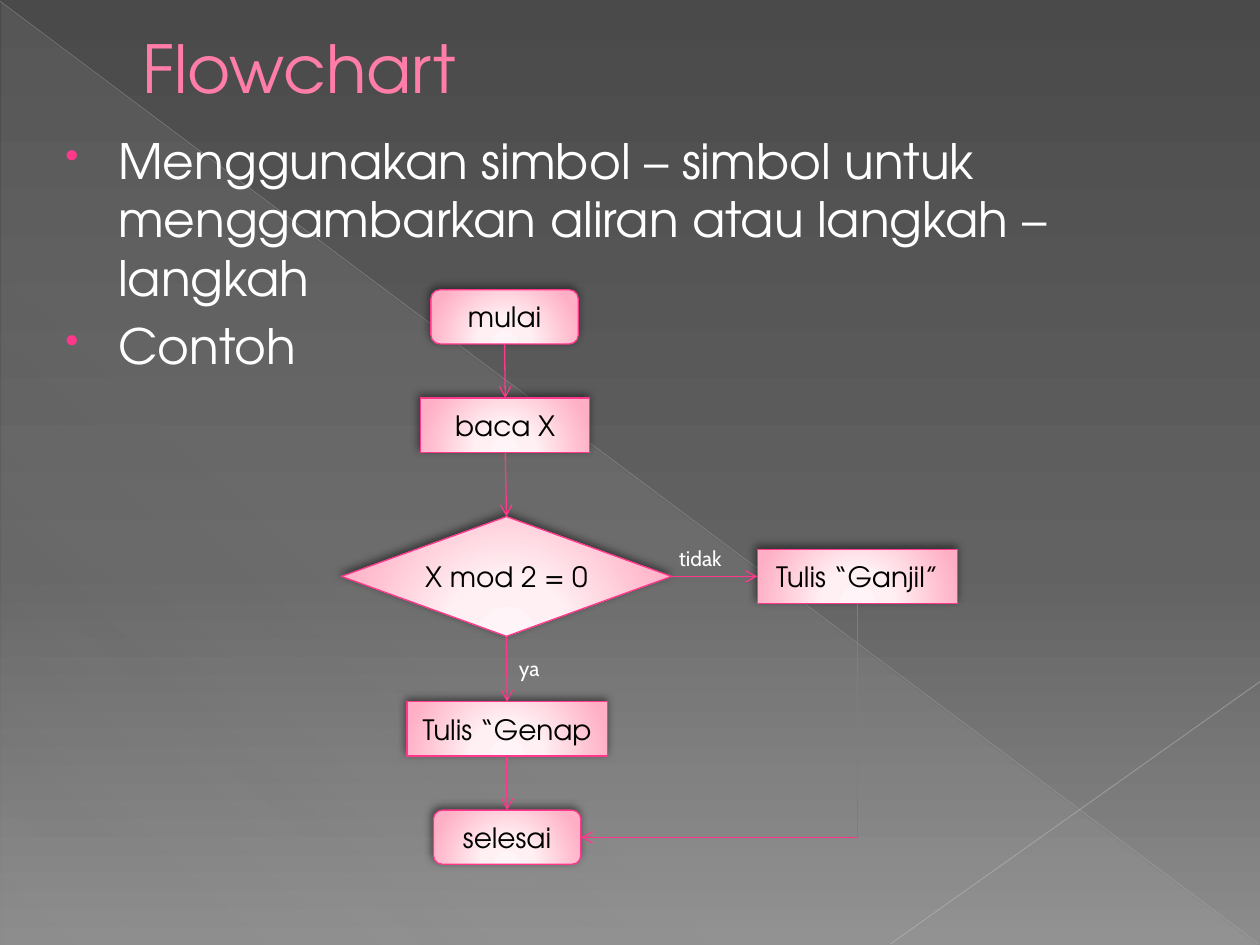
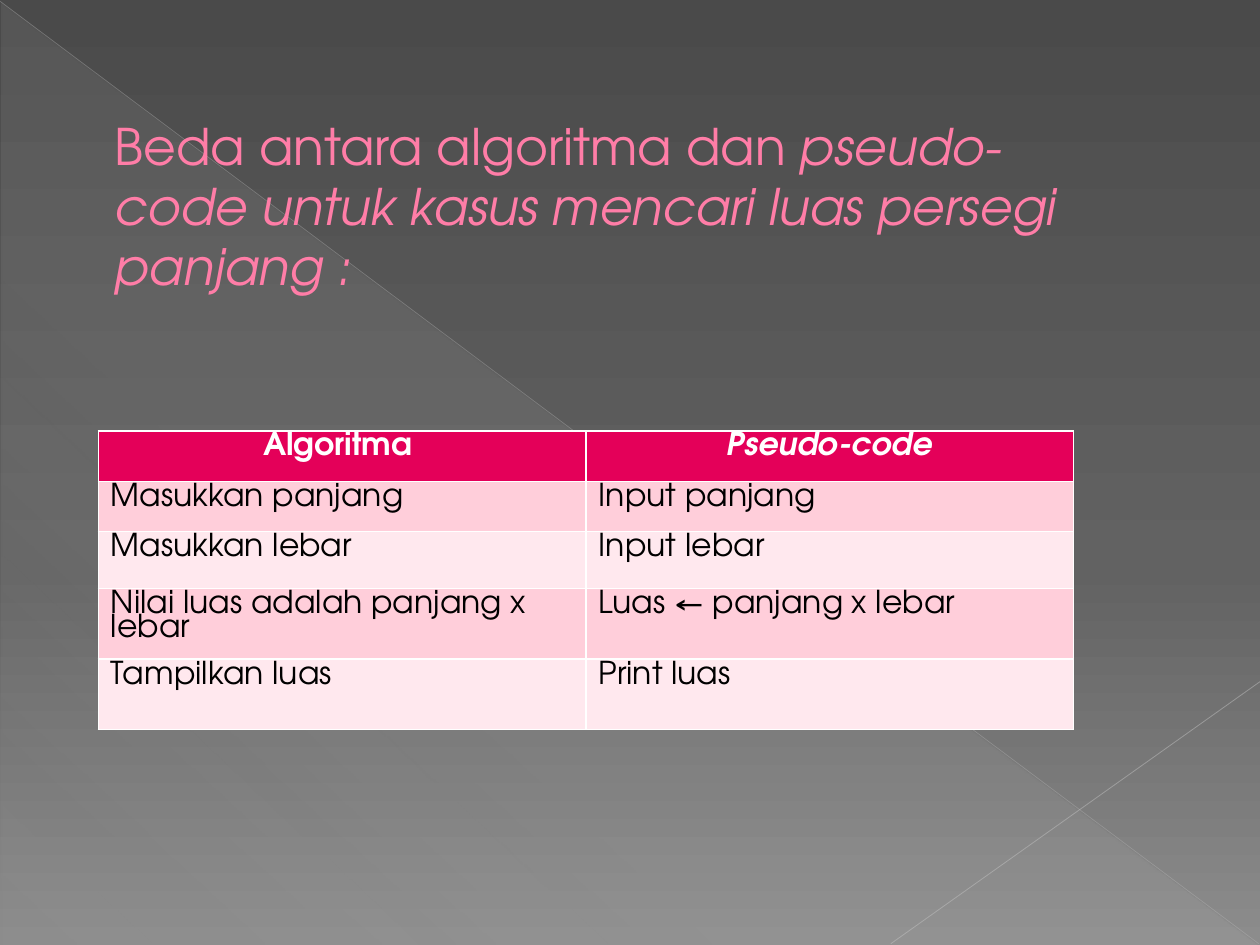
from pptx import Presentation
from pptx import util as u
from pptx.dml.color import RGBColor
from pptx.enum import shapes, text
from pptx.oxml import parse_xml
from pptx.oxml.ns import nsdecls, qn

FONT, NOTE = "TeX Gyre Adventor", "Cabin"
ROSE, PINK, WHITE, BLACK = "FF7DA7", "FF388C", "FFFFFF", "000000"
HEAD, BANDS = "E40059", ("FFCEDA", "FFE8EE")
SKY = [(0, "4A4A4A", 100), (60, "626262", 100), (100, "8C8C8C", 100)]
VEIL = [(0, "D2D2D2", 10), (70, "D2D2D2", 8), (100, "D2D2D2", 1)]
GLOW = [(0, "FFF4F7", 100), (34, "FFF0F3", 100), (100, "FFAFC5", 100)]
KINDS, ALIGN = shapes.MSO_SHAPE, text.PP_ALIGN
TOP, LEFT, BASE, RIGHT = range(4)  # connection sites of a shape


def rgb(code):
    return RGBColor.from_string(code)


def node(tag, inner="", **attrs):
    """Build one DrawingML element."""
    pairs = " ".join(f'{key}="{val}"' for key, val in attrs.items())
    return parse_xml(f'<a:{tag} {nsdecls("a")} {pairs}>{inner}</a:{tag}>')


def paint(code, alpha=100):
    return f'<a:srgbClr val="{code}"><a:alpha val="{alpha * 1000}"/></a:srgbClr>'


def blend(fill, host, stops, angle=None):
    """Fill with a linear gradient, or a round one when no angle is given."""
    fill.gradient()
    old = host.find(".//" + qn("a:gradFill"))
    steps = "".join(f'<a:gs pos="{pos * 1000}">{paint(code, alpha)}</a:gs>'
                    for pos, code, alpha in stops)
    if angle is None:
        way = ('<a:path path="circle"><a:fillToRect l="50000" t="155000" '
               'r="50000" b="-55000"/></a:path>')
    else:
        way = f'<a:lin ang="{angle * 60000}" scaled="0"/>'
    new = node("gradFill", f"<a:gsLst>{steps}</a:gsLst>{way}", rotWithShape=1)
    old.getparent().replace(old, new)


def write(frame, *paras, size=18, color=WHITE, font=FONT, bold=False,
          align=ALIGN.LEFT, indent=0, hang=0, bullet=None, gap=0, lead=None):
    """Fill a frame; a paragraph is a string or a list of (text, italic)."""
    for i, para in enumerate(paras):
        p = frame.paragraphs[0] if i == 0 else frame.add_paragraph()
        props = p._p.get_or_add_pPr()
        props.set("marL", str(u.Inches(indent)))
        props.set("indent", str(u.Inches(-hang)))
        if bullet:
            props.append(node("buClr", paint(PINK)))
            props.append(node("buSzPct", val=80000))
            props.append(node("buChar", char=bullet))
        p.alignment = align
        if lead:
            p.line_spacing = lead
        if i:
            p.space_before = u.Pt(gap)
        for words, slant in [(para, False)] if isinstance(para, str) else para:
            run = p.add_run()
            run.text = words
            run.font.name, run.font.size = font, u.Pt(size)
            run.font.bold, run.font.italic = bold, slant
            run.font.color.rgb = rgb(color)


class Deck:
    def __init__(self):
        self.prs = Presentation()
        self.prs.slide_width, self.prs.slide_height = u.Inches(10), u.Inches(7.5)
        self.slide = None

    def start(self, box, *paras, **style):
        """Add a slide with its title."""
        first = self.slide is None
        self.slide = self.prs.slides.add_slide(self.prs.slide_layouts[5])
        if first:
            self.theme()
        title = self.slide.shapes.title
        title.left, title.top, title.width, title.height = map(u.Inches, box)
        frame = title.text_frame
        frame.word_wrap, frame.auto_size = True, text.MSO_AUTO_SIZE.NONE
        frame.vertical_anchor = text.MSO_ANCHOR.MIDDLE
        write(frame, *paras, color=ROSE, indent=0.53, **style)

    def theme(self):
        """Put the background, veil and thin lines on the master."""
        master = self.prs.slide_master
        blend(master.background.fill, master.element, SKY, 90)
        veil = self.shape(KINDS.RIGHT_TRIANGLE, (0.01, 0.02, 9.98, 7.48))
        blend(veil.fill, veil.element, VEIL, 133)
        veil.line.fill.background()
        parts = [veil, self.line((0, 0.01, 9.99, 7.49), "BFBFBF", 0.39, 35),
                 self.line((10, 5.41, 7.07, 7.49), "C6C6C6", 0.47, 45)]
        tree = master.element.cSld.spTree
        for spot, part in enumerate(parts, 2):
            tree.insert(spot, part.element)
        for num, item in enumerate(tree.xpath(".//p:cNvPr"), 1):
            item.set("id", str(num))

    def shape(self, kind, box):
        item = self.slide.shapes.add_shape(kind, *map(u.Inches, box))
        item.shadow.inherit = False
        return item

    def line(self, ends, color=PINK, width=0.75, alpha=100, arrow=False,
             kind=shapes.MSO_CONNECTOR.STRAIGHT):
        item = self.slide.shapes.add_connector(kind, *map(u.Inches, ends))
        item.line.width = u.Pt(width)
        item.line.color.rgb = rgb(color)
        stroke = item.element.spPr.find(qn("a:ln"))
        stroke.find(".//" + qn("a:srgbClr")).append(
            node("alpha", val=alpha * 1000))
        if arrow:
            stroke.append(node("tailEnd", type="arrow"))
        item.element.spPr.append(node("effectLst"))
        return item

    def step(self, kind, box, words, inset=0.1):
        """Add one flowchart symbol."""
        item = self.shape(kind, box)
        blend(item.fill, item.element, GLOW)
        item.line.color.rgb, item.line.width = rgb(PINK), u.Pt(0.75)
        item.element.spPr.find(qn("a:effectLst")).append(node(
            "outerShdw", paint(BLACK, 50), blurRad=u.Pt(5), dist=u.Pt(2),
            dir=245 * 60000, rotWithShape=0))
        frame = item.text_frame
        frame.margin_left = frame.margin_right = u.Inches(inset)
        frame.vertical_anchor = text.MSO_ANCHOR.MIDDLE
        write(frame, words, size=16, color=BLACK, align=ALIGN.CENTER)
        return item

    def link(self, start, goal, out=BASE, into=TOP):
        item = self.line((0, 0, 1, 1), arrow=True)
        item.begin_connect(start, out)
        item.end_connect(goal, into)

    def bend(self, start, goal):
        """Run down from start, then left into the side of goal."""
        x1, y1 = start.left + start.width / 2, start.top + start.height
        x2, y2 = goal.left + goal.width, goal.top + goal.height / 2
        wide, high = y2 - y1, x1 - x2  # size before the quarter turn
        item = self.line((0, 0, 1, 1), arrow=True,
                         kind=shapes.MSO_CONNECTOR.ELBOW)
        item.left, item.top = int((x1 + x2 - wide) / 2), int((y1 + y2 - high) / 2)
        item.width, item.height = int(wide), int(high)
        props = item.element.spPr
        props.find(qn("a:xfrm")).set("rot", str(90 * 60000))
        props.find(qn("a:prstGeom")).set("prst", "bentConnector2")

    def text(self, box, *paras, wrap=True, **style):
        frame = self.slide.shapes.add_textbox(*map(u.Inches, box)).text_frame
        frame.word_wrap = wrap
        if not wrap:
            frame.auto_size = text.MSO_AUTO_SIZE.SHAPE_TO_FIT_TEXT
        write(frame, *paras, **style)

    def table(self, box, highs, rows):
        grid = self.slide.shapes.add_table(
            len(rows), len(rows[0]), *map(u.Inches, box)).table
        for r, (high, row) in enumerate(zip(highs, rows)):
            grid.rows[r].height = u.Inches(high)
            for c, words in enumerate(row):
                cell, head = grid.cell(r, c), r == 0
                cell.fill.solid()
                cell.fill.fore_color.rgb = rgb(HEAD if head else BANDS[(r - 1) % 2])
                write(cell.text_frame, words, bold=head, lead=0.8,
                      color=WHITE if head else BLACK,
                      align=ALIGN.CENTER if head else ALIGN.LEFT)
                for i, side in enumerate("LRTB"):
                    cell._tc.get_or_add_tcPr().insert(i, node(
                        "ln" + side, f"<a:solidFill>{paint(WHITE)}</a:solidFill>",
                        w=u.Pt(1)))


def flow(deck):
    deck.start((0.5, 0.3, 9, 0.46), "Flowchart ", size=37.8, align=ALIGN.JUSTIFY)
    deck.text((0.35, 0.99, 8.51, 1.97),
              "Menggunakan simbol – simbol untuk menggambarkan aliran atau "
              "langkah – langkah", "Contoh",
              size=27.8, indent=0.49, hang=0.42, bullet="•", gap=5.6)
    pill, block = KINDS.FLOWCHART_ALTERNATE_PROCESS, KINDS.RECTANGLE
    begin = deck.step(pill, (3.42, 2.3, 1.17, 0.43), "mulai")
    read = deck.step(block, (3.34, 3.16, 1.34, 0.43), "baca X")
    test = deck.step(KINDS.DIAMOND, (2.71, 4.1, 2.62, 0.95), "X mod 2 = 0", inset=0)
    end = deck.step(pill, (3.44, 6.43, 1.17, 0.43), "selesai")
    even = deck.step(block, (3.23, 5.57, 1.59, 0.43), "Tulis “Genap")
    odd = deck.step(block, (6.01, 4.36, 1.59, 0.43), "Tulis “Ganjil”")
    chain = [begin, read, test, even, end]
    for start, goal in zip(chain, chain[1:]):
        deck.link(start, goal)
    deck.link(test, odd, RIGHT, LEFT)
    deck.bend(odd, end)
    for box, words in (((5.29, 4.28, 0.59, 0.33), "tidak"),
                       ((4.02, 5.15, 0.41, 0.33), "ya")):
        deck.text(box, words, wrap=False, size=12, font=NOTE)


def compare(deck):
    deck.start((0.28, 1.31, 8.43, 0.64),
               [("Beda antara algoritma dan ", False),
                ("pseudo-code untuk kasus mencari luas persegi panjang :", True)],
               size=28.8)
    deck.table((0.78, 3.42, 7.74, 2.37), (0.4, 0.4, 0.45, 0.56, 0.56), [
        ("Algoritma ", [("Pseudo-code", True)]),
        ("Masukkan panjang", "Input panjang"),
        ("Masukkan lebar", "Input lebar"),
        ("Nilai luas adalah panjang x lebar", "Luas ← panjang x lebar"),
        ("Tampilkan luas", "Print luas"),
    ])


def main():
    deck = Deck()
    flow(deck)
    compare(deck)
    deck.prs.save("out.pptx")


if __name__ == "__main__":
    main()
